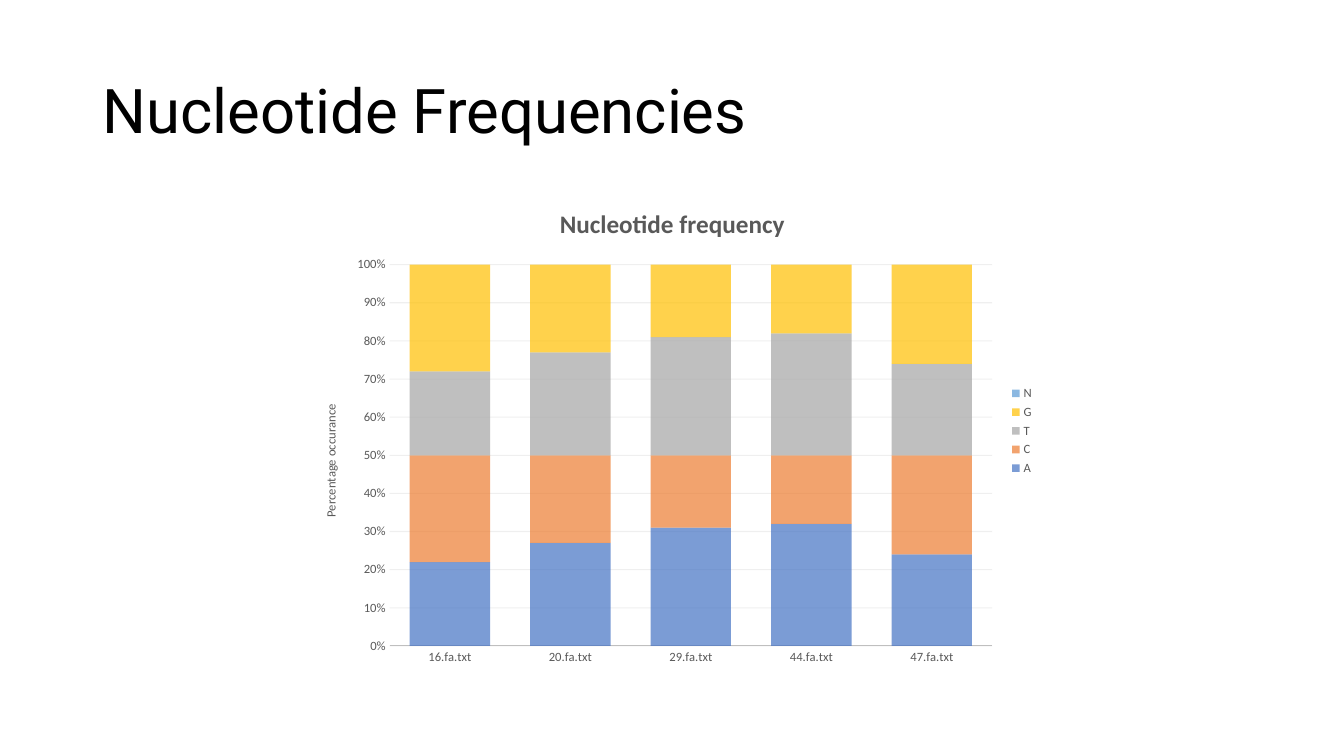
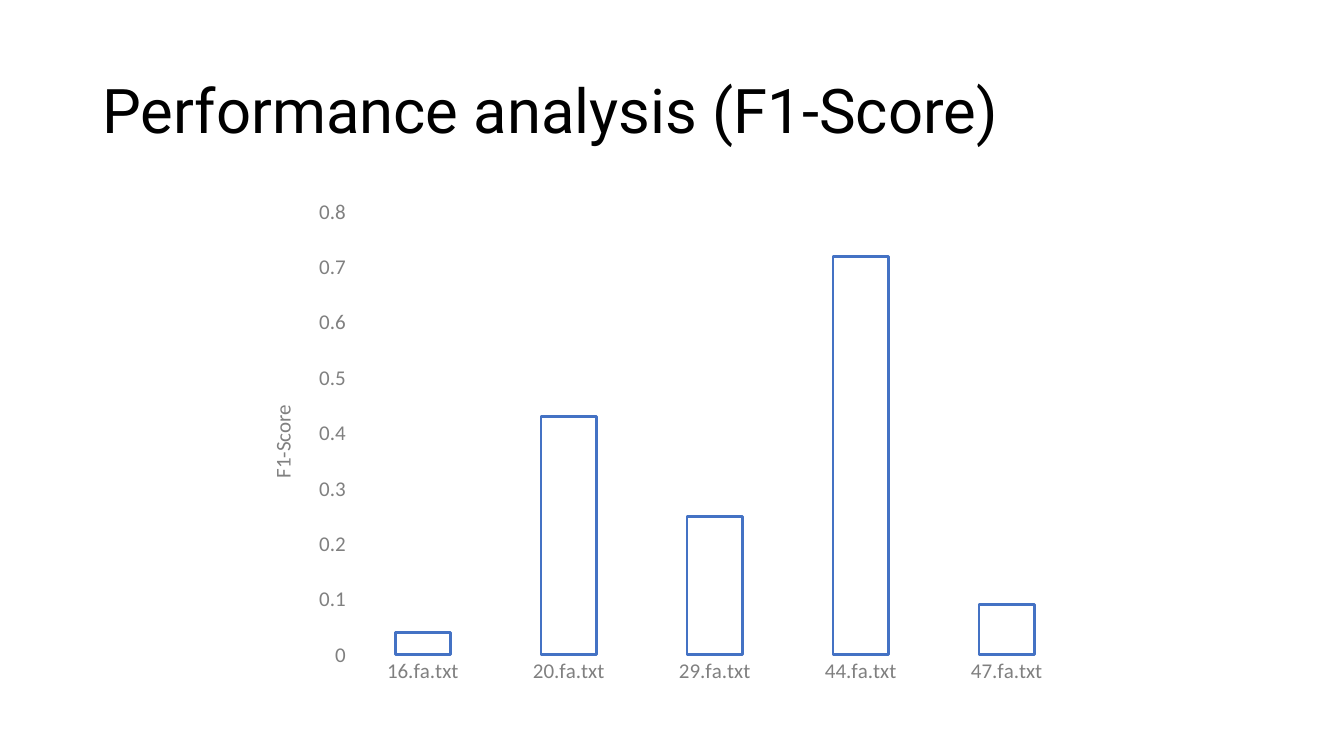
from lxml import etree
from pptx import Presentation
from pptx.chart.data import CategoryChartData
from pptx.dml.color import RGBColor
from pptx.enum.chart import XL_CHART_TYPE, XL_LEGEND_POSITION, XL_TICK_MARK
from pptx.enum.text import MSO_ANCHOR, MSO_AUTO_SIZE, PP_ALIGN
from pptx.oxml.ns import qn
from pptx.util import Pt

STACKED = XL_CHART_TYPE.COLUMN_STACKED_100
CLUSTERED = XL_CHART_TYPE.COLUMN_CLUSTERED
LEGEND_RIGHT = XL_LEGEND_POSITION.RIGHT
NO_TICK = XL_TICK_MARK.NONE
MIDDLE = MSO_ANCHOR.MIDDLE
NO_AUTOFIT = MSO_AUTO_SIZE.NONE
LEFT = PP_ALIGN.LEFT

TITLE_FONT = "Roboto"
CHART_FONT = "Calibri"
BLACK = "000000"
DARK_GRAY = "595959"
MID_GRAY = "808080"
AXIS_GRAY = "BFBFBF"
GRID_GRAY = "D9D9D9"
BLUE = "4472C4"

TITLE_BOX = (66, 28.8, 828, 104.4)
FREQUENCY_BOX = (214.56, 133.2, 531.36, 349.2)
SCORE_BOX = (177.12, 133.2, 606.24, 363.6)

SAMPLES = [f"{number}.fa.txt" for number in (16, 20, 29, 44, 47)]
AT_SHARES = [22, 27, 31, 32, 24]
GC_SHARES = [28, 23, 19, 18, 26]
NUCLEOTIDES = [
    ("A", AT_SHARES, BLUE),
    ("C", GC_SHARES, "ED7D31"),
    ("T", AT_SHARES, "A5A5A5"),
    ("G", GC_SHARES, "FFC000"),
    ("N", [0] * 5, "5B9BD5"),
]
SCORES = [0.04, 0.43, 0.25, 0.72, 0.09]


def rgb(value):
    """Turn a hex string into a colour."""
    return RGBColor.from_string(value)


def format_font(font, size, color, name=CHART_FONT, bold=False):
    """Set the face, size, colour and weight of a font."""
    font.name = name
    font.size = Pt(size)
    font.bold = bold
    font.color.rgb = rgb(color)


def write_text(text_frame, text, align=None, spacing=None, **font_format):
    """Write one formatted paragraph into a text frame."""
    paragraph = text_frame.paragraphs[0]
    paragraph.alignment = align
    paragraph.line_spacing = spacing
    run = paragraph.add_run()
    run.text = text
    format_font(run.font, **font_format)


def set_line(line, color, width):
    """Give a line a solid colour and a width."""
    line.color.rgb = rgb(color)
    line.width = Pt(width)


def set_opacity(element, percent):
    """Make every solid colour inside an element partly transparent."""
    for color in element.iter(qn("a:srgbClr")):
        etree.SubElement(color, qn("a:alpha"), val=str(percent * 1000))


def set_plot_area(chart, **fractions):
    """Fix the inner plot area as fractions of the chart."""
    plot_area = chart._chartSpace.find(".//" + qn("c:plotArea"))
    for old_layout in plot_area.findall(qn("c:layout")):
        plot_area.remove(old_layout)
    layout = etree.Element(qn("c:layout"))
    manual = etree.SubElement(layout, qn("c:manualLayout"))
    settings = {"layoutTarget": "inner", "xMode": "edge", "yMode": "edge", **fractions}
    for name, value in settings.items():
        etree.SubElement(manual, qn(f"c:{name}"), val=str(value))
    plot_area.insert(0, layout)


def add_titled_slide(presentation, title):
    """Add a title-only slide with the shared title style."""
    slide = presentation.slides.add_slide(presentation.slide_layouts[5])
    shape = slide.shapes.title
    shape.left, shape.top, shape.width, shape.height = map(Pt, TITLE_BOX)
    text_frame = shape.text_frame
    text_frame.vertical_anchor = MIDDLE
    text_frame.word_wrap = True
    text_frame.auto_size = NO_AUTOFIT
    write_text(text_frame, title, align=LEFT, spacing=0.9,
               size=44, color=BLACK, name=TITLE_FONT)
    return slide


def add_column_chart(slide, box, kind, series, axis_title, size, color, gap, overlap):
    """Add a column chart with plain axes and a rotated value title."""
    data = CategoryChartData()
    data.categories = SAMPLES
    for name, values in series:
        data.add_series(name, values)
    chart = slide.shapes.add_chart(kind, *map(Pt, box), data).chart
    format_font(chart.font, size, color)
    chart.has_title = False
    chart.has_legend = False
    plot = chart.plots[0]
    plot.gap_width = gap
    plot.overlap = overlap
    plot.vary_by_categories = False
    for axis in (chart.category_axis, chart.value_axis):
        axis.major_tick_mark = axis.minor_tick_mark = NO_TICK
        axis.has_major_gridlines = False
        axis.format.line.fill.background()
        format_font(axis.tick_labels.font, size, color)
    text_frame = chart.value_axis.axis_title.text_frame
    write_text(text_frame, axis_title, size=size, color=color)
    body = text_frame._txBody.find(qn("a:bodyPr"))
    body.set("rot", "-5400000")
    body.set("vert", "horz")
    return chart


def add_frequency_chart(slide, box):
    """Add the stacked chart of nucleotide shares."""
    series = [(name, values) for name, values, _ in NUCLEOTIDES]
    chart = add_column_chart(slide, box, STACKED, series, "Percentage occurance",
                             size=9, color=DARK_GRAY, gap=50, overlap=100)
    set_plot_area(chart, x=0.12, y=0.16, w=0.81, h=0.78)
    chart.has_title = True
    write_text(chart.chart_title.text_frame, "Nucleotide frequency",
               size=18, color=DARK_GRAY, bold=True)
    chart.has_legend = True
    chart.legend.position = LEGEND_RIGHT
    chart.legend.include_in_layout = False
    format_font(chart.legend.font, 9, DARK_GRAY)
    set_line(chart.category_axis.format.line, AXIS_GRAY, 0.75)
    value_axis = chart.value_axis
    value_axis.maximum_scale = 1
    value_axis.major_unit = 0.1
    value_axis.tick_labels.number_format = "0%"
    value_axis.tick_labels.number_format_is_linked = False
    value_axis.has_major_gridlines = True
    set_line(value_axis.major_gridlines.format.line, GRID_GRAY, 0.75)
    set_opacity(value_axis._element.find(qn("c:majorGridlines")), 40)
    for columns, (_, _, color) in zip(chart.plots[0].series, NUCLEOTIDES):
        columns.format.fill.solid()
        columns.format.fill.fore_color.rgb = rgb(color)
        set_opacity(columns._element, 70)


def add_score_chart(slide, box):
    """Add the outlined column chart of F1 scores."""
    chart = add_column_chart(slide, box, CLUSTERED, [("Series 1", SCORES)], "F1-Score",
                             size=15, color=MID_GRAY, gap=164, overlap=-35)
    set_plot_area(chart, x=0.12, y=0.05, w=0.86, h=0.87)
    chart.value_axis.minimum_scale = 0
    chart.value_axis.maximum_scale = 0.8
    chart.value_axis.major_unit = 0.1
    columns = chart.plots[0].series[0]
    columns.format.fill.background()
    set_line(columns.format.line, BLUE, 2)


def main():
    """Build and save the presentation."""
    presentation = Presentation()
    presentation.slide_width = Pt(960)
    presentation.slide_height = Pt(540)
    add_frequency_chart(add_titled_slide(presentation, "Nucleotide Frequencies"),
                        FREQUENCY_BOX)
    add_score_chart(add_titled_slide(presentation, "Performance analysis (F1-Score)"),
                    SCORE_BOX)
    presentation.save("out.pptx")


if __name__ == "__main__":
    main()
